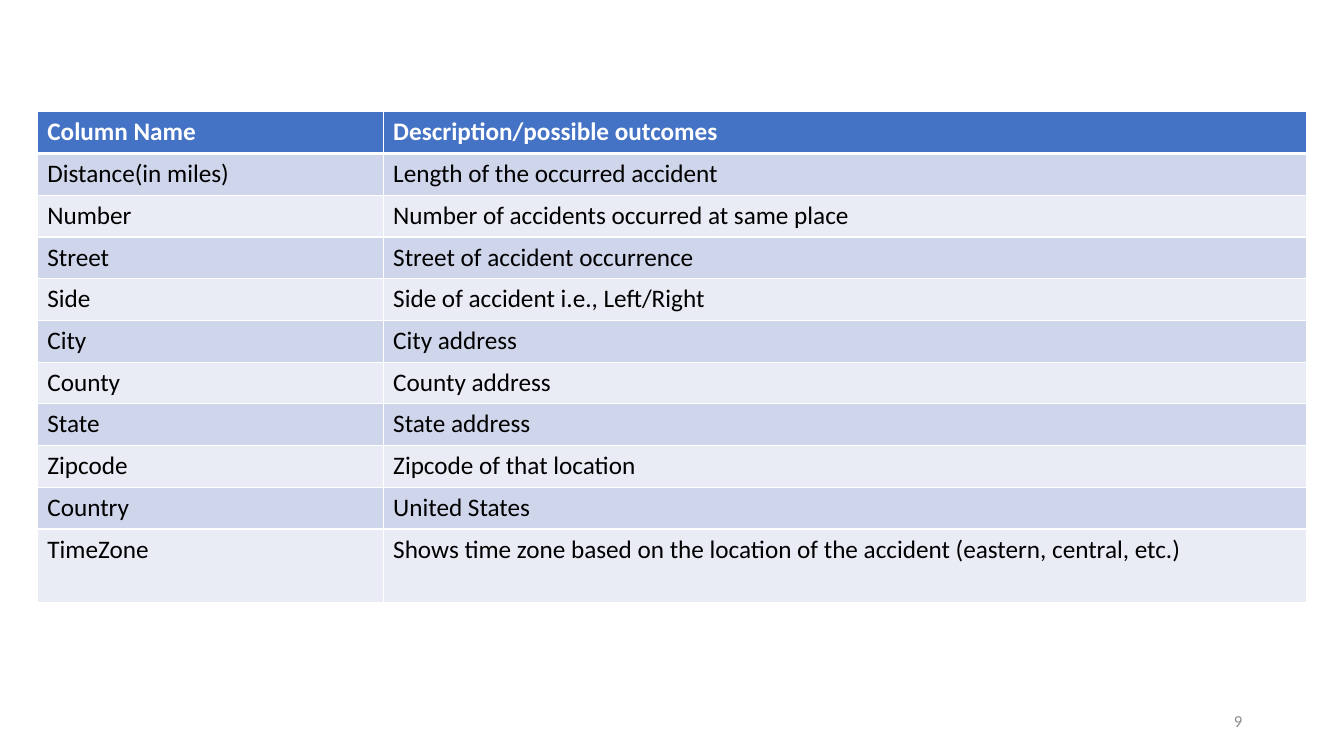
import pptx
import pptx.dml.color
import pptx.enum.text
import pptx.oxml.ns
import pptx.util
from lxml import etree
from pptx.util import Inches

# Content
ROWS = [
    ("Column Name", "Description/possible outcomes"),
    ("Distance(in miles)", "Length of the occurred accident"),
    ("Number", "Number of accidents occurred at same place"),
    ("Street", "Street of accident occurrence"),
    ("Side", "Side of accident i.e., Left/Right"),
    ("City", "City address"),
    ("County", "County address"),
    ("State", "State address"),
    ("Zipcode", "Zipcode of that location"),
    ("Country", "United States"),
    ("TimeZone", "Shows time zone based on the location of the accident (eastern, central, etc.)"),
]
PAGE_NUMBER = "9"

# Style
COLORS = {"header": "4472C4", "odd": "CFD5EA", "even": "E9EBF5",
          "white": "FFFFFF", "text": "000000", "number": "8C8C8C"}
FONT = "Calibri"
COLUMN_WIDTHS = (3.43, 9.16)
TABLE_HEIGHT, LAST_ROW_HEIGHT = 4.87, 0.73
ROW_HEIGHT = (TABLE_HEIGHT - LAST_ROW_HEIGHT) / (len(ROWS) - 1)


def color(name):
    return pptx.dml.color.RGBColor.from_string(COLORS[name])


def style_paragraph(paragraph, size, color_name, bold=False):
    paragraph.font.name = FONT
    paragraph.font.size = pptx.util.Pt(size)
    paragraph.font.bold = bold
    paragraph.font.color.rgb = color(color_name)


def add_borders(cell, widths):
    properties = cell._tc.get_or_add_tcPr()
    qn = pptx.oxml.ns.qn
    for side, width in widths.items():
        line = etree.SubElement(properties, qn("a:ln" + side), w=str(pptx.util.Pt(width)))
        fill = etree.SubElement(line, qn("a:solidFill"))
        etree.SubElement(fill, qn("a:srgbClr"), val=COLORS["white"])


presentation = pptx.Presentation()
presentation.slide_width = Inches(13.33)
presentation.slide_height = Inches(7.5)
slide = presentation.slides.add_slide(presentation.slide_layouts[6])

# Table of columns and descriptions
table = slide.shapes.add_table(
    len(ROWS), len(COLUMN_WIDTHS), Inches(0.37), Inches(1.11),
    Inches(sum(COLUMN_WIDTHS)), Inches(TABLE_HEIGHT)).table
for column, width in zip(table.columns, COLUMN_WIDTHS):
    column.width = Inches(width)

for row_index, texts in enumerate(ROWS):
    is_header = row_index == 0
    is_last = row_index == len(ROWS) - 1
    table.rows[row_index].height = Inches(LAST_ROW_HEIGHT if is_last else ROW_HEIGHT)
    fill_name = "header" if is_header else "odd" if row_index % 2 else "even"
    borders = {"L": 1, "R": 1, "T": 3 if row_index == 1 else 1, "B": 3 if is_header else 1}
    for column_index, text in enumerate(texts):
        cell = table.cell(row_index, column_index)
        cell.text = text
        style_paragraph(cell.text_frame.paragraphs[0], 18,
                        "white" if is_header else "text", is_header)
        add_borders(cell, borders)
        cell.fill.solid()
        cell.fill.fore_color.rgb = color(fill_name)

# Page number
number_frame = slide.shapes.add_textbox(
    Inches(9.42), Inches(6.95), Inches(3), Inches(0.4)).text_frame
number_frame.word_wrap = True
number_frame.vertical_anchor = pptx.enum.text.MSO_ANCHOR.MIDDLE
number_frame.text = PAGE_NUMBER
number_paragraph = number_frame.paragraphs[0]
number_paragraph.alignment = pptx.enum.text.PP_ALIGN.RIGHT
style_paragraph(number_paragraph, 12, "number")

presentation.save("out.pptx")
